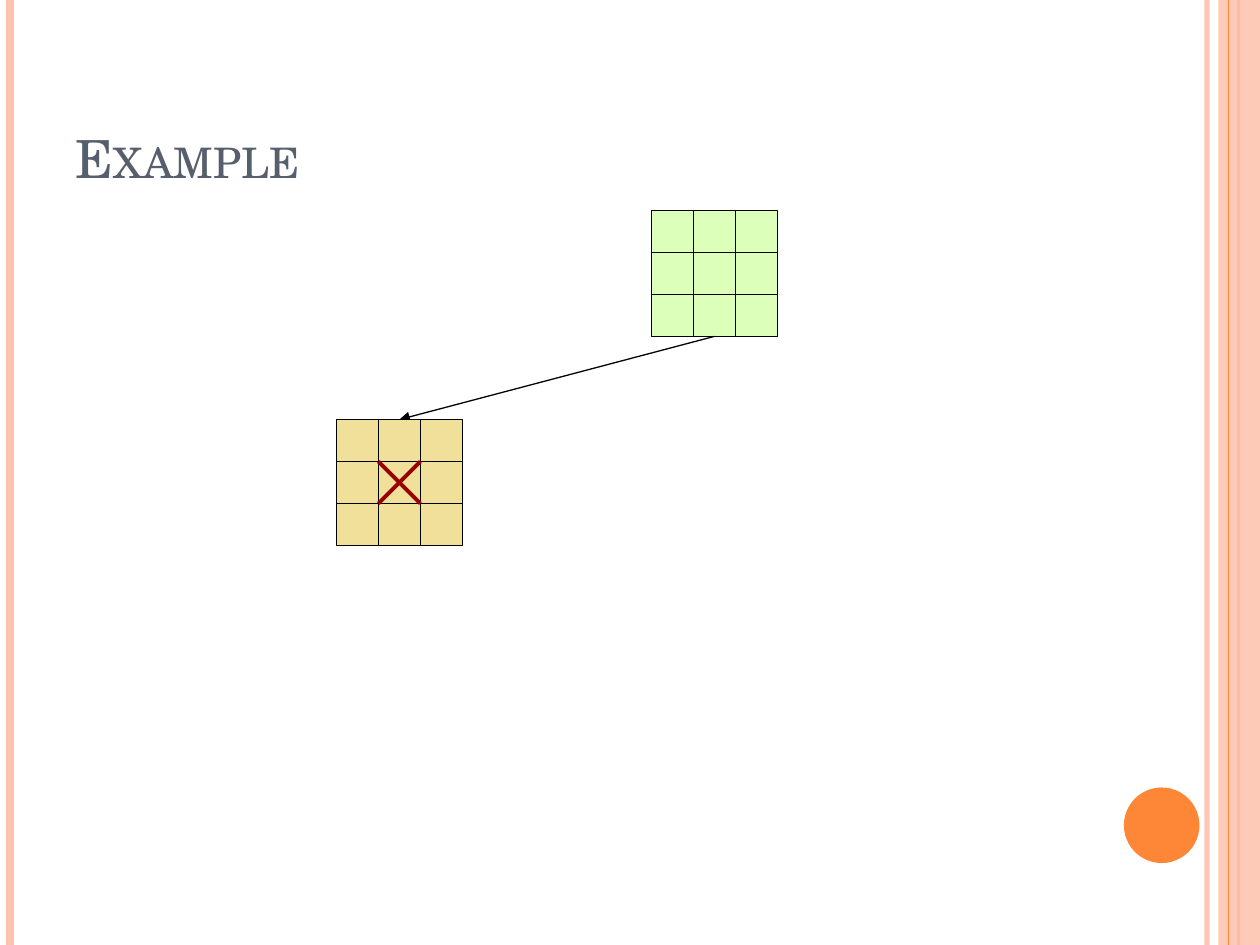
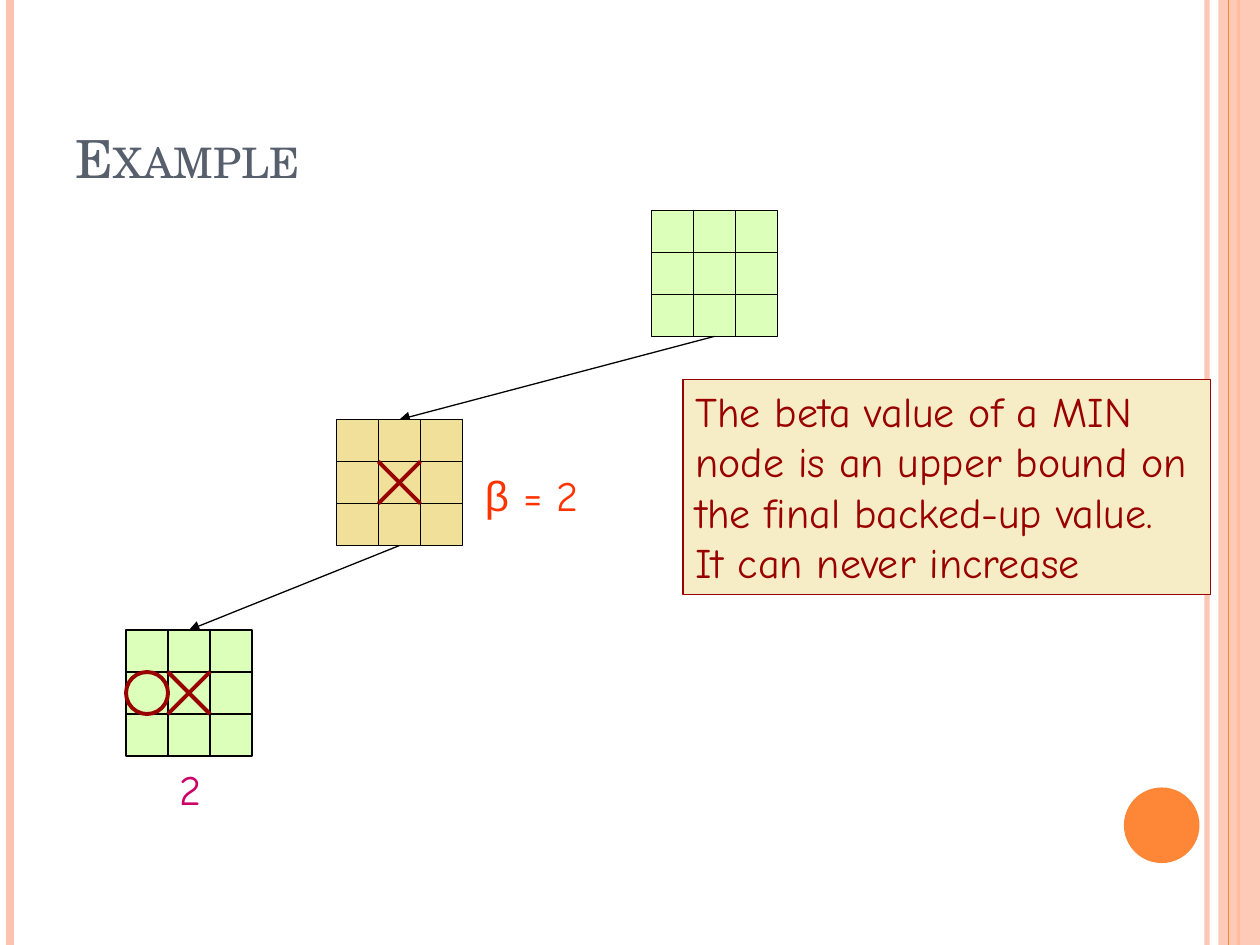
from lxml import etree
from pptx import Presentation
from pptx.dml.color import RGBColor
from pptx.enum.shapes import MSO_CONNECTOR, MSO_SHAPE
from pptx.enum.text import MSO_ANCHOR, MSO_AUTO_SIZE, PP_ALIGN
from pptx.oxml.ns import qn
from pptx.util import Inches, Pt

STRAIGHT = MSO_CONNECTOR.STRAIGHT
RECT, OVAL = MSO_SHAPE.RECTANGLE, MSO_SHAPE.OVAL
TOP, BOTTOM = MSO_ANCHOR.TOP, MSO_ANCHOR.BOTTOM
LEFT = PP_ALIGN.LEFT
NO_FIT, GROW = MSO_AUTO_SIZE.NONE, MSO_AUTO_SIZE.SHAPE_TO_FIT_TEXT

COLORS = {
    "peach": "FEC3AE", "orange": "FE8637", "title": "575F6D",
    "max": "DCFFB9", "min": "F0E09A", "note": "F6EDC6",
    "grid": "000000", "mark": "990000", "beta": "FF3300", "score": "CC0066",
}
TITLE_FONT, BODY_FONT, GREEK_FONT = "TeX Gyre Schola", "Comic Neue", "Arial"
WIDTH, HEIGHT = 10, 7.5
BOARD = 1
CELL = BOARD / 3

# Left and top corner of each board in the game tree
ROOT, MIN_NODE, LEAF = (5.17, 1.67), (2.67, 3.33), (1, 5)


def rgb(name):
    return RGBColor.from_string(COLORS[name])


def set_alpha(color_format_parent, percent):
    color = color_format_parent.find(".//" + qn("a:srgbClr"))
    etree.SubElement(color, qn("a:alpha")).set("val", str(percent * 1000))


def add_line(s, start, end, color="grid", width=0.75, arrow=False, alpha=None):
    line = s.shapes.add_connector(STRAIGHT, *map(Inches, (*start, *end)))
    line.line.color.rgb = rgb(color)
    line.line.width = Pt(width)
    ln = line.line._ln
    if alpha:
        set_alpha(ln, alpha)
    if arrow:
        etree.SubElement(ln, qn("a:tailEnd")).set("type", "triangle")
    etree.SubElement(line._element.spPr, qn("a:effectLst"))


def add_box(s, kind, box, fill=None, line=None, width=0.75):
    sp = s.shapes.add_shape(kind, *map(Inches, box))
    sp.shadow.inherit = False
    if fill:
        sp.fill.solid()
        sp.fill.fore_color.rgb = rgb(fill)
    else:
        sp.fill.background()
    if line:
        sp.line.color.rgb = rgb(line)
        sp.line.width = Pt(width)
    else:
        sp.line.fill.background()
    return sp


def add_run(p, text, color, size=24, font=BODY_FONT):
    r = p.add_run()
    r.text = text
    r.font.name, r.font.size = font, Pt(size)
    r.font.color.rgb = rgb(color)
    return r


def write_lines(sp, lines):
    """Each line is a list of (text, color, font) runs."""
    tf = sp.text_frame
    tf.word_wrap = False
    tf.auto_size = GROW
    tf.vertical_anchor = TOP
    for i, runs in enumerate(lines):
        p = tf.add_paragraph() if i else tf.paragraphs[0]
        p.alignment = LEFT
        for text, color, font in runs:
            add_run(p, text, color, font=font)


def add_label(s, box, runs):
    write_lines(s.shapes.add_textbox(*map(Inches, box)), [runs])


def add_bands(s):
    """Stripes down both edges and the disc at lower right."""
    def stripe(x, color, width, alpha=None):
        add_line(s, (x, 0), (x, HEIGHT), color, width, alpha=alpha)

    stripe(9.58, "peach", 3, 93)
    stripe(0.08, "peach", 4.5)
    stripe(9.83, "orange", 1.5)
    band = add_box(s, RECT, (9.67, 0, 0.33, HEIGHT), "peach")
    set_alpha(band._element.spPr, 87)
    stripe(9.75, "orange", 0.75)
    add_box(s, OVAL, (8.92, 6.25, 0.6, 0.6), "orange")


def add_title(s, text):
    title = s.shapes.title
    title.left, title.top, title.width, title.height = map(
        Inches, (0.5, 0.3, 8.17, 1.25))
    tf = title.text_frame
    tf.auto_size = NO_FIT
    tf.vertical_anchor = BOTTOM
    p = tf.paragraphs[0]
    p.alignment = LEFT
    r = add_run(p, text, "title", 30, TITLE_FONT)
    r.font._element.set("cap", "small")


def add_board(s, corner, fill, marks=()):
    """A 3 by 3 board; marks are (symbol, column, row)."""
    x, y = corner
    add_box(s, RECT, (x, y, BOARD, BOARD), fill, "grid")
    for i in (1, 2):
        add_line(s, (x + i * CELL, y), (x + i * CELL, y + BOARD))
    for i in (1, 2):
        add_line(s, (x, y + i * CELL), (x + BOARD, y + i * CELL))
    for symbol, col, row in marks:
        left, top = x + col * CELL, y + row * CELL
        right, bottom = left + CELL, top + CELL
        if symbol == "X":
            add_line(s, (left, top), (right, bottom), "mark", 2.25)
            add_line(s, (left, bottom), (right, top), "mark", 2.25)
        else:
            add_box(s, OVAL, (left, top, CELL, CELL), None, "mark", 2.25)


def add_branch(s, parent, child):
    """Arrow from the foot of one board to the head of the next."""
    add_line(s, (parent[0] + BOARD / 2, parent[1] + BOARD),
             (child[0] + BOARD / 2, child[1]), arrow=True)


def add_note(s, box, lines):
    note = add_box(s, RECT, box, "note", "mark")
    write_lines(note, [[(line, "mark", BODY_FONT)] for line in lines])


def tree_slide(prs):
    """Title, bands and the first two levels of the tree."""
    s = prs.slides.add_slide(prs.slide_layouts[5])
    add_bands(s)
    add_title(s, "Example")
    add_board(s, ROOT, "max")
    add_branch(s, ROOT, MIN_NODE)
    add_board(s, MIN_NODE, "min", [("X", 1, 1)])
    return s


def beta_slide(prs):
    """The tree with its first leaf, the beta value and a note."""
    s = tree_slide(prs)
    add_label(s, (MIN_NODE[0] + 1.08, MIN_NODE[1] + 0.35, 0.95, 0.5),
              [("β", "beta", GREEK_FONT), (" = 2", "beta", BODY_FONT)])
    add_board(s, LEAF, "max", [("X", 1, 1), ("O", 0, 1)])
    add_branch(s, MIN_NODE, LEAF)
    add_label(s, (LEAF[0] + 0.33, LEAF[1] + 1.01, 0.4, 0.5),
              [("2", "score", BODY_FONT)])
    add_note(s, (5.42, 3.01, 4.19, 1.71), [
        "The beta value of a MIN",
        "node is an upper bound on",
        "the final backed-up value.",
        "It can never increase",
    ])


def main():
    prs = Presentation()
    prs.slide_width, prs.slide_height = Inches(WIDTH), Inches(HEIGHT)
    tree_slide(prs)
    beta_slide(prs)
    prs.save("out.pptx")


if __name__ == "__main__":
    main()
